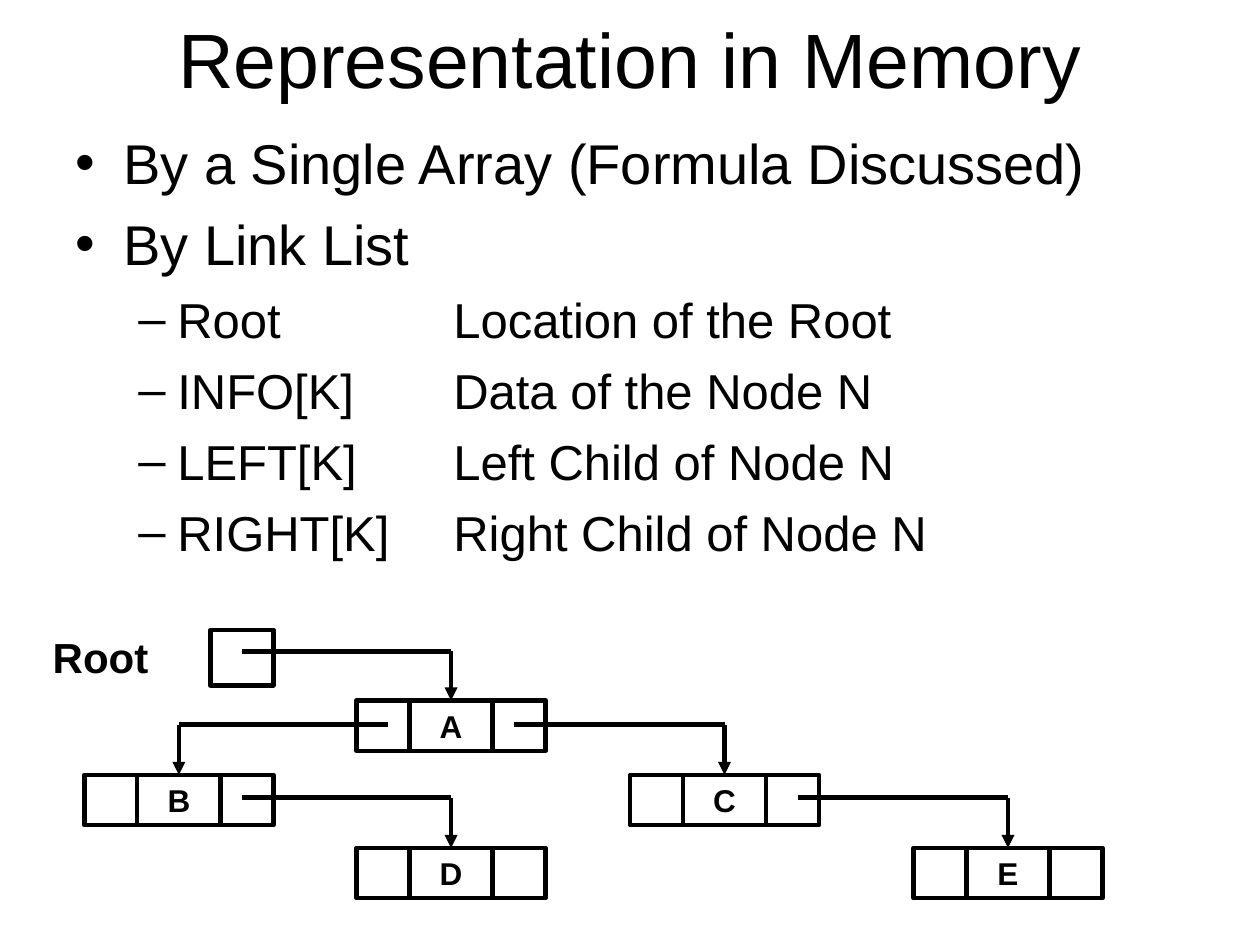
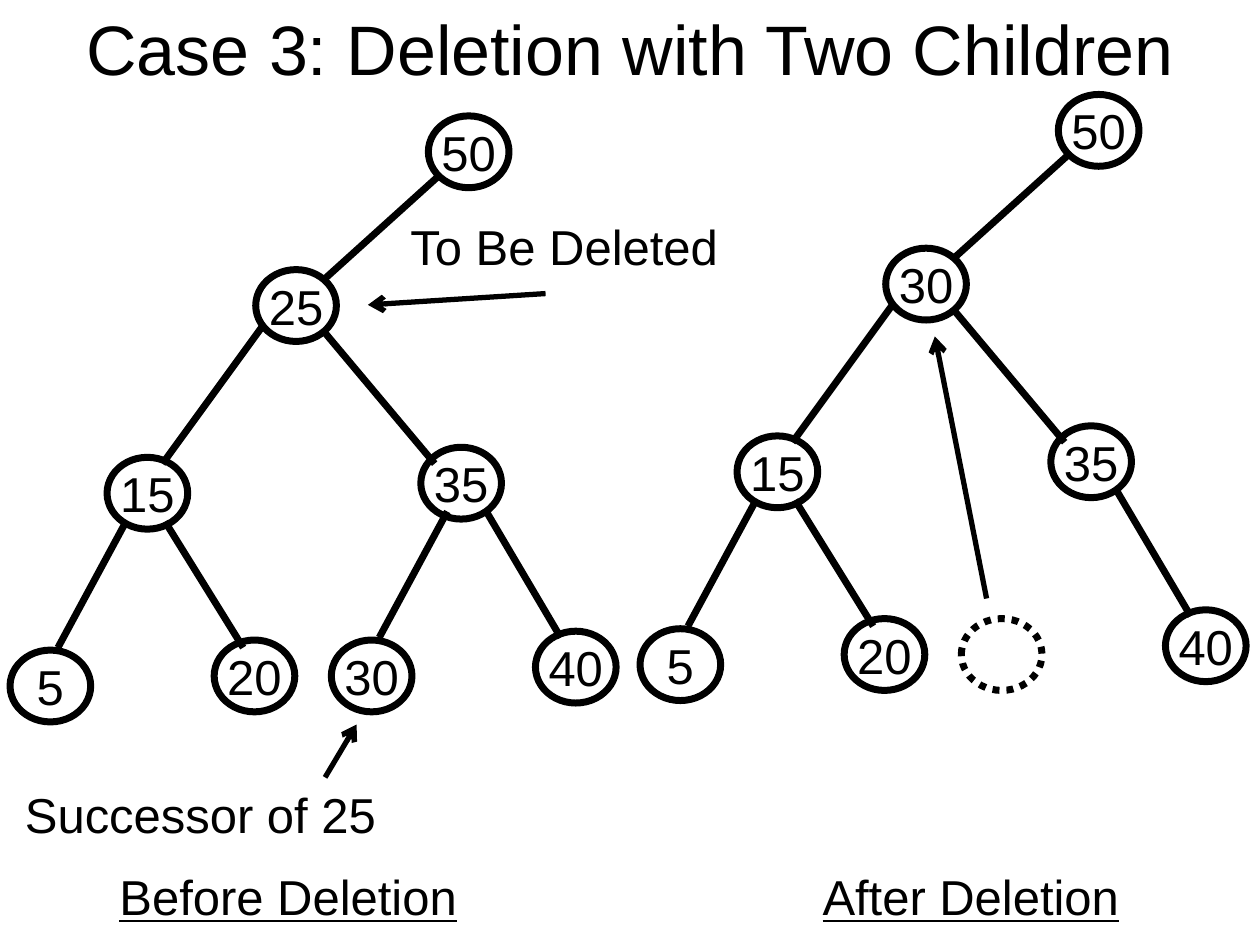
import pptx
import pptx.util
import pptx.dml.color
import pptx.enum.dml
import pptx.enum.shapes
import pptx.enum.text
import pptx.oxml
import pptx.oxml.ns

Inches, Pt = pptx.util.Inches, pptx.util.Pt
SHAPE = pptx.enum.shapes.MSO_SHAPE
ALIGN = pptx.enum.text.PP_ALIGN
ANCHOR = pptx.enum.text.MSO_ANCHOR
FONT, INK = "Arial", "000000"

# Memory cells: left and top of each
CELL_W, CELL_H = 1.5, 0.4
CELLS = {"A": (2.83, 5.56), "B": (0.67, 6.15), "C": (5, 6.15),
         "D": (2.83, 6.73), "E": (7.25, 6.73)}
# Start of each pointer and the cell it leads to
LINKS = [((1.92, 5.17), "A"), ((3.08, 5.75), "B"), ((4.08, 5.75), "C"),
         ((1.92, 6.33), "D"), ((6.33, 6.33), "E")]

# Tree slots, relative to the left and top of the tree
NODE_W, NODE_H = 0.64, 0.57
SLOTS = {"root": (3.32, 0), "mid": (1.95, 1.22), "left": (0.77, 2.71),
         "right": (3.26, 2.63), "ll": (0, 4.24), "lr": (1.62, 4.16),
         "rl": (2.55, 4.16), "rr": (4.17, 4.09)}
EDGES = {"mid": (3.42, 0.46, 2.49, 1.3), "left": (2.01, 1.66, 1.21, 2.76),
         "right": (2.49, 1.71, 3.37, 2.76), "ll": (0.92, 3.22, 0.38, 4.22),
         "lr": (1.23, 3.22, 1.85, 4.22), "rl": (3.47, 3.14, 2.93, 4.14),
         "rr": (3.78, 3.14, 4.37, 4.14)}
BEFORE = {"root": 50, "mid": 25, "left": 15, "right": 35,
          "ll": 5, "lr": 20, "rl": 30, "rr": 40}
AFTER = {**BEFORE, "mid": 30, "rl": None}


def color(code):
    return pptx.dml.color.RGBColor.from_string(code)


def add_xml(parent, tag, **attrs):
    node = pptx.oxml.parse_xml(
        f"<a:{tag} {pptx.oxml.ns.nsdecls('a')}/>")
    for key, val in attrs.items():
        node.set(key, str(val))
    parent.append(node)
    return node


def write(frame, text, size=28, bold=False, under=False, align=ALIGN.LEFT,
          anchor=ANCHOR.TOP, wrap=True):
    frame.word_wrap = wrap
    frame.vertical_anchor = anchor
    par = frame.paragraphs[0]
    if par.runs:
        par = frame.add_paragraph()
    par.alignment = align
    run = par.add_run()
    run.text = text
    font = run.font
    font.name, font.size, font.bold = FONT, Pt(size), bold
    font.underline = under
    font.color.rgb = color(INK)
    return par


def add_box(slide, box):
    return slide.shapes.add_textbox(*map(Inches, box)).text_frame


def add_title(slide, text, size, height):
    write(add_box(slide, (0.5, 0, 9, height)), text, size=size,
          align=ALIGN.CENTER, anchor=ANCHOR.MIDDLE)


def add_label(slide, box, text, **style):
    write(add_box(slide, box), text, **style)


def add_line(slide, x1, y1, x2, y2, width, head=None):
    line = slide.shapes.add_connector(
        pptx.enum.shapes.MSO_CONNECTOR.STRAIGHT,
        *map(Inches, (x1, y1, x2, y2)))
    line.line.color.rgb = color(INK)
    line.line.width = Pt(width)
    if head:
        add_xml(line.line._get_or_add_ln(), "tailEnd", type=head)
    add_xml(line._element.spPr, "effectLst")
    return line


def add_frame(slide, kind, box, width):
    """Add an unfilled shape with a plain outline."""
    shape = slide.shapes.add_shape(kind, *map(Inches, box))
    shape.shadow.inherit = False
    shape.fill.background()
    shape.line.color.rgb = color(INK)
    shape.line.width = Pt(width)
    frame = shape.text_frame
    frame.margin_left = frame.margin_right = 0
    frame.margin_top = frame.margin_bottom = 0
    return shape


def add_list(slide, box, items):
    """Fill a box with (level, text) bullets."""
    looks = [(32, 8, 0.38, 0.38, "•"), (28, 7, 0.81, 0.31, "–")]
    frame = add_box(slide, box)
    for place, (level, text) in enumerate(items):
        size, gap, left, hang, mark = looks[level]
        par = write(frame, text, size=size)
        props = par._p.get_or_add_pPr()
        props.set("marL", str(Inches(left)))
        props.set("indent", str(-Inches(hang)))
        add_xml(props, "buFont", typeface=FONT)
        add_xml(props, "buChar", char=mark)
        if "\t" in text:
            tabs = add_xml(props, "tabLst")
            add_xml(tabs, "tab", pos=Inches(3), algn="l")
        par.level = level
        if place:
            par.space_before = Pt(gap)


def add_cell(slide, name, left, top):
    """Add a list node: left link, data, right link."""
    cell = add_frame(slide, SHAPE.RECTANGLE, (left, top, CELL_W, CELL_H), 2.5)
    write(cell.text_frame, name, size=18, bold=True, align=ALIGN.CENTER,
          anchor=ANCHOR.MIDDLE)
    for shift in (0.42, 1.08):
        add_line(slide, left + shift, top, left + shift, top + CELL_H + 0.01,
                 2.5)
    return cell


def add_memory(slide):
    """Draw the linked cells and their pointers."""
    add_label(slide, (0.32, 4.96, 1.2, 0.5), "Root", size=24, bold=True)
    add_frame(slide, SHAPE.RECTANGLE, (1.67, 5, 0.5, 0.44), 2.5)
    cells = {name: add_cell(slide, name, *spot)
             for name, spot in CELLS.items()}
    for (x, y), name in LINKS:
        left, top = CELLS[name]
        turn = left + CELL_W / 2
        add_line(slide, x, y, turn, y, 2.5)
        drop = add_line(slide, turn, y, turn, top, 2.5, "triangle")
        drop.end_connect(cells[name], 0)


def add_tree(slide, left, top, keys):
    """Draw a tree; a slot without a key is dotted and has no edge."""
    for slot, key in keys.items():
        x, y = SLOTS[slot]
        node = add_frame(slide, SHAPE.OVAL,
                         (left + x, top + y, NODE_W, NODE_H), 4)
        if key is None:
            node.line.dash_style = pptx.enum.dml.MSO_LINE.ROUND_DOT
            continue
        write(node.text_frame, str(key), align=ALIGN.CENTER,
              anchor=ANCHOR.MIDDLE, wrap=False)
        if slot in EDGES:
            x1, y1, x2, y2 = EDGES[slot]
            add_line(slide, left + x1, top + y1, left + x2, top + y2, 4)


def draw_memory(slide):
    add_title(slide, "Representation in Memory", 44, 0.92)
    add_list(slide, (0.5, 0.97, 9, 3.8), [
        (0, "By a Single Array (Formula Discussed)"),
        (0, "By Link List"),
        (1, "Root\tLocation of the Root"),
        (1, "INFO[K]\tData of the Node N"),
        (1, "LEFT[K]\tLeft Child of Node N"),
        (1, "RIGHT[K]\tRight Child of Node N")])
    add_memory(slide)


def draw_delete(slide):
    add_title(slide, "Case 3: Deletion with Two Children", 40, 0.75)
    add_tree(slide, 0.08, 0.92, BEFORE)
    add_tree(slide, 5.08, 0.75, AFTER)
    add_label(slide, (0.85, 6.83, 3.2, 0.57), "Before Deletion", under=True)
    add_label(slide, (6.43, 6.83, 3.2, 0.57), "After Deletion", under=True)
    add_label(slide, (3.16, 1.67, 3.2, 0.57), "To Be Deleted")
    add_label(slide, (0.1, 6.18, 3.2, 0.57), "Successor of 25")
    for ends in ((4.33, 2.33, 2.92, 2.42), (2.58, 6.17, 2.83, 5.75),
                 (7.83, 4.75, 7.42, 2.67)):
        add_line(slide, *ends, 3, "arrow")


def main():
    deck = pptx.Presentation()
    deck.slide_width, deck.slide_height = Inches(10), Inches(7.5)
    for draw in (draw_memory, draw_delete):
        draw(deck.slides.add_slide(deck.slide_layouts[6]))
    deck.save("out.pptx")


if __name__ == "__main__":
    main()
